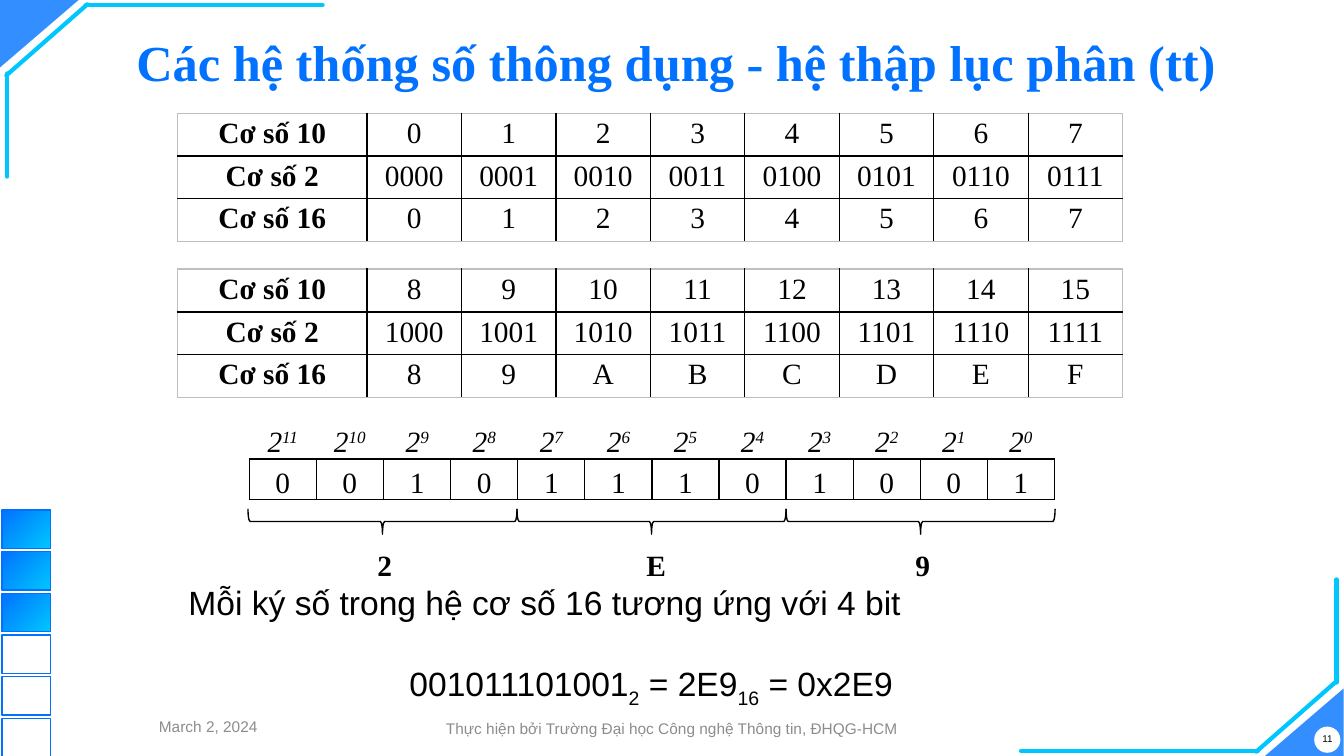
import dataclasses
import typing

import pptx
import pptx.dml.color
import pptx.dml.fill
import pptx.enum.shapes
import pptx.enum.text
import pptx.oxml
import pptx.oxml.ns
import pptx.presentation
import pptx.slide
import pptx.util
from lxml import etree

Cm = pptx.util.Cm
Pt = pptx.util.Pt
RGB = pptx.dml.color.RGBColor
Kind = pptx.enum.shapes.MSO_SHAPE
Align = pptx.enum.text.PP_ALIGN
Anchor = pptx.enum.text.MSO_ANCHOR
qn = pptx.oxml.ns.qn

BLUE = RGB(0x00, 0x72, 0xFF)
CYAN = RGB(0x00, 0xC6, 0xFF)
BLACK = RGB(0x00, 0x00, 0x00)
WHITE = RGB(0xFF, 0xFF, 0xFF)
GRAY = RGB(0x8C, 0x8C, 0x8C)
PALE = RGB(0xBF, 0xBF, 0xBF)
SERIF = "Times New Roman"
SANS = "Arial"
SIDES = ("lnL", "lnR", "lnT", "lnB")

Part = tuple[str, int]  # text and its baseline shift in percent


@dataclasses.dataclass
class Style:
    size: float
    face: str = SERIF
    color: RGB = BLACK
    bold: bool = False
    slant: bool = False
    align: typing.Any = Align.CENTER


@dataclasses.dataclass
class Label:
    text: str
    box: tuple[float, float, float, float]
    style: Style
    anchor: typing.Any = Anchor.MIDDLE
    wrap: bool = True


HEAD = Style(21, bold=True)
CELL = Style(21)
POWER = Style(21, slant=True)
FOOT = Style(11, SANS, GRAY)
BODY = Style(24, SANS, align=Align.LEFT)
SUM = Style(24, SANS)


def write(para: typing.Any, parts: list[Part], style: Style) -> None:
    for text, shift in parts:
        run = para.add_run()
        run.text = text
        if shift:
            run.font.bold = style.bold
            run._r.get_or_add_rPr().set("baseline", str(shift * 1000))
    para.alignment = style.align
    font = para.font
    font.size = Pt(style.size)
    font.name = style.face
    font.bold = style.bold
    font.italic = style.slant
    font.color.rgb = style.color


def add_label(slide: pptx.slide.Slide, label: Label) -> typing.Any:
    frame = slide.shapes.add_textbox(*map(Cm, label.box)).text_frame
    frame.word_wrap = label.wrap
    frame.vertical_anchor = label.anchor
    write(frame.paragraphs[0], [(label.text, 0)], label.style)
    return frame


def add_shape(slide: pptx.slide.Slide, kind: typing.Any, box: tuple[float, ...],
              fill: RGB | None = None, line: RGB | None = None) -> typing.Any:
    shape = slide.shapes.add_shape(kind, *map(Cm, box))
    shape.shadow.inherit = False
    if fill is None:
        shape.fill.background()
    else:
        shape.fill.solid()
        shape.fill.fore_color.rgb = fill
    if line is None:
        shape.line.fill.background()
    else:
        shape.line.color.rgb = line
        shape.line.width = Pt(1)
    return shape


def add_line(slide: pptx.slide.Slide, ends: tuple[float, ...]) -> None:
    line = slide.shapes.add_connector(
        pptx.enum.shapes.MSO_CONNECTOR.STRAIGHT, *map(Cm, ends))
    line.line.color.rgb = CYAN
    line.line.width = Pt(3)
    props = line._element.spPr
    props.find(qn("a:ln")).set("cap", "rnd")
    etree.SubElement(props, qn("a:effectLst"))


def set_edge(cell: typing.Any, side: str, color: RGB | None) -> None:
    edge = etree.SubElement(cell._tc.get_or_add_tcPr(), qn(f"a:{side}"), w="12700")
    if color is None:
        etree.SubElement(edge, qn("a:noFill"))
    else:
        fill = etree.SubElement(edge, qn("a:solidFill"))
        etree.SubElement(fill, qn("a:srgbClr"), val=str(color))


def add_grid(slide: pptx.slide.Slide, left: float, top: float,
             wide: list[float], tall: float, rows: int) -> typing.Any:
    grid = slide.shapes.add_table(rows, len(wide), Cm(left), Cm(top),
                                  Cm(sum(wide)), Cm(tall * rows)).table
    grid.first_row = False
    grid.horz_banding = False
    for col, width in zip(grid.columns, wide):
        col.width = Cm(width)
    for row in grid.rows:
        row.height = Cm(tall)
    return grid


def set_pad(cell: typing.Any, side: float, top: float) -> None:
    cell.margin_left = cell.margin_right = Cm(side)
    cell.margin_top = cell.margin_bottom = Cm(top)


def add_bases(slide: pptx.slide.Slide, top: float, nums: range) -> None:
    """Decimal, binary and hexadecimal forms of each number."""
    rows = [["Cơ số 10"] + [str(num) for num in nums],
            ["Cơ số 2"] + [f"{num:04b}" for num in nums],
            ["Cơ số 16"] + [f"{num:X}" for num in nums]]
    grid = add_grid(slide, 4.47, top, [4.78] + [2.38] * len(nums), 1.08, len(rows))
    for y, row in enumerate(rows):
        for x, text in enumerate(row):
            cell = grid.cell(y, x)
            set_pad(cell, 0.18, 0.1)
            outer = (x == 0, x == len(nums), y == 0, y == len(rows) - 1)
            for side, rim in zip(SIDES, outer):
                set_edge(cell, side, PALE if rim else BLACK)
            cell.fill.background()
            write(cell.text_frame.paragraphs[0], [(text, 0)], CELL if x else HEAD)


def add_bits(slide: pptx.slide.Slide, left: float, high: int, bits: str) -> None:
    """Bits under their powers of two, from the given power down."""
    grid = add_grid(slide, left, 10.54, [1.69] * len(bits), 1.01, 2)
    for x, bit in enumerate(bits):
        for y, parts in enumerate(([("2", 0), (str(high - x), 30)], [(bit, 0)])):
            cell = grid.cell(y, x)
            set_pad(cell, 0.16, 0)
            cell.vertical_anchor = Anchor.MIDDLE
            for side in SIDES:
                set_edge(cell, side, BLACK if y or side == "lnB" else None)
            cell.fill.background()
            para = cell.text_frame.paragraphs[0]
            write(para, parts, CELL if y else POWER)
            para.line_spacing = 1.25


def add_decor(slide: pptx.slide.Slide) -> None:
    # Corner triangles and lines
    for left, top, turn in ((0, 0, 180), (31.88, 17.35, 0)):
        corner = add_shape(slide, Kind.ISOSCELES_TRIANGLE, (left, top, 1.98, 1.7), BLUE)
        corner.adjustments[0] = 1
        corner.rotation = turn
        tint = corner._element.spPr.find(qn("a:solidFill"))[0]
        etree.SubElement(tint, qn("a:alpha"), val="80000")
    for ends in ((8.13, 0.13, 2.16, 0.13), (2.2, 0.11, 0.16, 1.9),
                 (0.18, 4.45, 0.18, 1.85), (25.73, 18.92, 31.7, 18.92),
                 (31.66, 18.94, 33.7, 17.15), (33.68, 14.6, 33.68, 17.2)):
        add_line(slide, ends)
    add_shape(slide, Kind.OVAL, (33.12, 18.31, 0.66, 0.66), WHITE)
    # Column of squares, the first three filled
    for step in range(6):
        tile = add_shape(slide, Kind.RECTANGLE,
                         (0.05, 12.85 + 1.05 * step, 1.22, 0.97), line=BLUE)
        if step < 3:
            tile.fill.gradient()
            tile.fill.gradient_angle = 315
            for stop, color in zip(tile.fill.gradient_stops, (BLUE, CYAN)):
                stop.color.rgb = color


def main() -> None:
    deck = pptx.Presentation()
    deck.slide_width, deck.slide_height = Cm(33.87), Cm(19.05)
    slide = deck.slides.add_slide(deck.slide_layouts[5])
    add_decor(slide)

    # Title
    title = slide.shapes.title
    title.left, title.top, title.width, title.height = map(Cm, (3.18, 0.41, 29.21, 2.49))
    title.text_frame.vertical_anchor = Anchor.MIDDLE
    title.text_frame.auto_size = pptx.enum.text.MSO_AUTO_SIZE.NONE
    para = title.text_frame.paragraphs[0]
    write(para, [("Các hệ thống số thông dụng - hệ thập lục phân (tt)", 0)],
          Style(36, color=BLUE, bold=True, align=Align.LEFT))
    para.line_spacing = 0.9

    # Number tables
    add_bases(slide, 2.85, range(8))
    add_bases(slide, 6.78, range(8, 16))
    add_bits(slide, 9.67, 9, "1011101001")
    add_bits(slide, 6.28, 11, "00")

    # Braces with the hexadecimal digits
    for step, digit in enumerate("2E9"):
        mid = 9.64 + 6.78 * step
        brace = add_shape(slide, Kind.LEFT_BRACE, (mid - 0.32, 9.75, 0.64, 6.78), line=BLACK)
        brace.rotation = 270
        add_label(slide, Label(digit, (mid - 0.38, 13.67, 0.76, 1.14), HEAD,
                               Anchor.TOP, False))

    # Conclusion
    frame = add_label(slide, Label("Mỗi ký số trong hệ cơ số 16 tương ứng với 4 bit",
                                   (4.5, 14.55, 23.82, 3.33), BODY, Anchor.TOP))
    para = frame.add_paragraph()
    write(para, [("001011101001", 0), ("2", -25), (" = 2E9", 0),
                 ("16", -25), (" = 0x2E9", 0)], SUM)
    para.space_before = Pt(29)

    # Footer
    for label in (
        Label("Thực hiện bởi Trường Đại học Công nghệ Thông tin, ĐHQG-HCM",
              (10.13, 17.98, 13.61, 0.74), FOOT),
        Label("11", (33.05, 18.21, 0.81, 0.81), Style(7, SANS), wrap=False),
        Label("March 2, 2024", (2.34, 17.93, 5.82, 0.74), FOOT),
    ):
        add_label(slide, label)

    deck.save("out.pptx")


if __name__ == "__main__":
    main()
